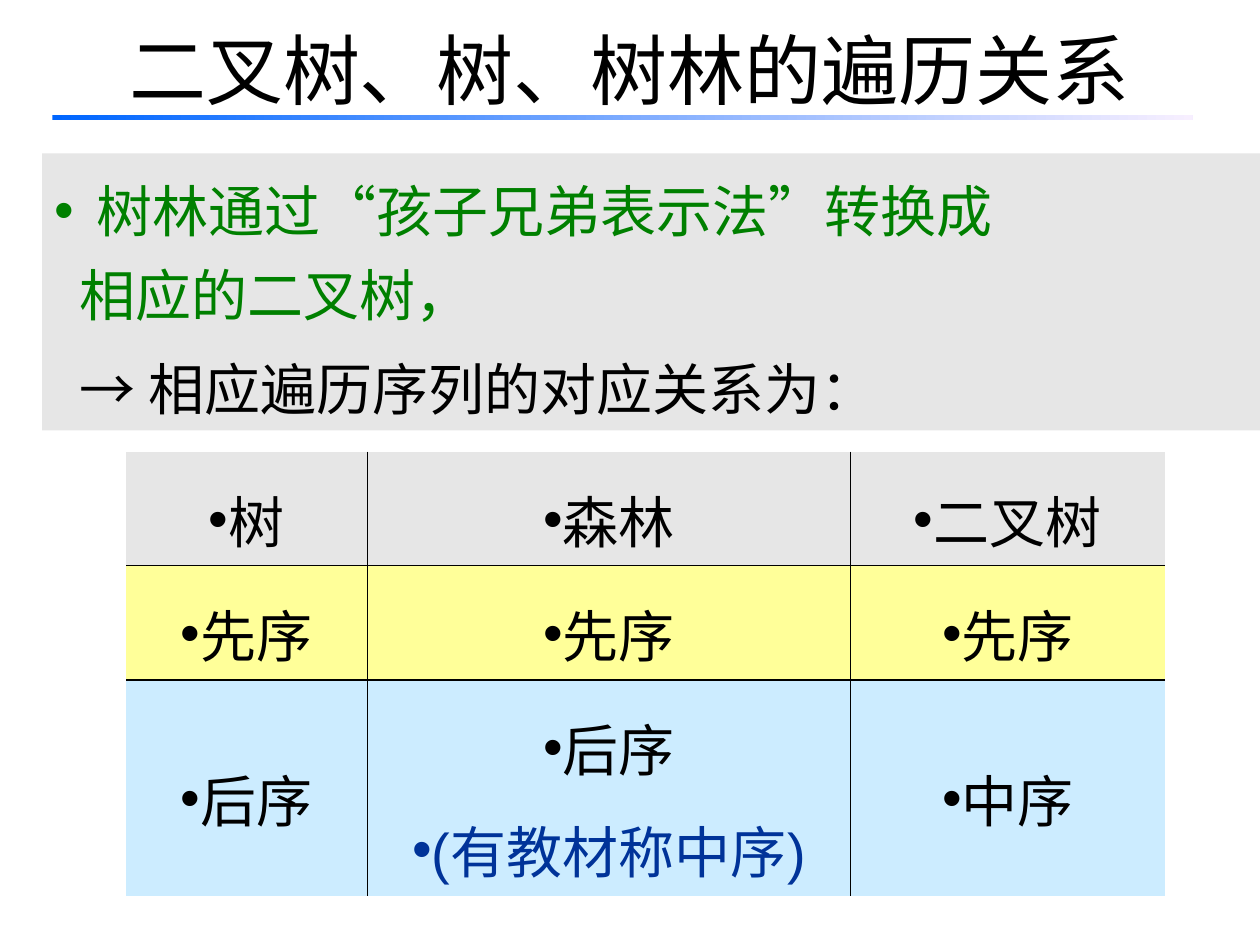
"""Build the slide relating traversals of binary trees, trees and forests."""
from dataclasses import dataclass

from lxml import etree
from pptx import Presentation
from pptx.dml.color import RGBColor
from pptx.enum import shapes, text
from pptx.oxml import ns
from pptx.util import Pt


@dataclass(frozen=True)
class Theme:
    black: str = "000000"
    green: str = "008000"
    blue: str = "003399"
    grey: str = "E6E6E6"
    yellow: str = "FFFF99"
    sky: str = "CCECFF"
    bar_start: str = "0066FF"
    bar_end: str = "F7EFFF"
    title_font: str = "Noto Sans CJK SC"
    body_font: str = "Arial"
    title_size: float = 44
    body_size: float = 32
    line_spacing: float = 1.25
    no_grid_style: str = "{2D5ABB26-0587-4C30-8999-92F81FD0307C}"


@dataclass(frozen=True)
class Line:
    text: str
    color: str
    bullet: bool = True
    margin: float = 0
    indent: float = 0
    before: float = 0


@dataclass(frozen=True)
class Row:
    height: float
    fill: str
    cells: tuple[tuple[Line, ...], ...]


THEME = Theme()
COLUMN_WIDTHS = (138, 276, 180)
BODY_LINES = (
    Line("树林通过“孩子兄弟表示法”转换成", THEME.green, margin=24, indent=-24),
    Line("相应的二叉树，", THEME.green, bullet=False, margin=14.4),
    Line("→ 相应遍历序列的对应关系为：", THEME.black, bullet=False, margin=14.4, before=6),
)


def entry(*words: str) -> tuple[Line, ...]:
    """Return the lines of a table cell, any after the first in blue."""
    return tuple(Line(word, THEME.blue if i else THEME.black) for i, word in enumerate(words))


ROWS = (
    Row(57, THEME.grey, (entry("树"), entry("森林"), entry("二叉树"))),
    Row(63, THEME.yellow, (entry("先序"), entry("先序"), entry("先序"))),
    Row(84, THEME.sky, (entry("后序"), entry("后序", "(有教材称中序)"), entry("中序"))),
)


def place(shape, left: float, top: float, width: float, height: float) -> None:
    """Set the position and size of a shape in points."""
    shape.left, shape.top, shape.width, shape.height = map(Pt, (left, top, width, height))


def write(paragraph, words: str, *, size: float, font: str, color: str,
          align=text.PP_ALIGN.LEFT, spacing: float = 1, before: float = 0) -> None:
    """Write formatted text into a paragraph."""
    paragraph.alignment = align
    paragraph.line_spacing = spacing
    paragraph.space_before = Pt(before)
    run = paragraph.add_run()
    run.text = words
    run.font.size = Pt(size)
    run.font.name = font
    run.font.color.rgb = RGBColor.from_string(color)


def set_bullet(paragraph, line: Line) -> None:
    """Give a paragraph its bullet and indents."""
    properties = paragraph._p.get_or_add_pPr()
    properties.set("marL", str(Pt(line.margin)))
    properties.set("indent", str(Pt(line.indent)))
    if line.bullet:
        etree.SubElement(properties, ns.qn("a:buFont"), typeface=THEME.body_font)
        etree.SubElement(properties, ns.qn("a:buChar"), char="•")
    else:
        etree.SubElement(properties, ns.qn("a:buNone"))


def write_lines(frame, lines: tuple[Line, ...], align) -> None:
    """Fill a text frame with one paragraph per line."""
    for index, line in enumerate(lines):
        paragraph = frame.add_paragraph() if index else frame.paragraphs[0]
        set_bullet(paragraph, line)
        write(paragraph, line.text, size=THEME.body_size, font=THEME.body_font,
              color=line.color, align=align, spacing=THEME.line_spacing, before=line.before)


def add_border(cell, side: str) -> None:
    """Draw a thin black border on one side of a cell."""
    border = etree.SubElement(cell._tc.get_or_add_tcPr(), ns.qn(f"a:ln{side}"), w=str(Pt(1)))
    fill = etree.SubElement(border, ns.qn("a:solidFill"))
    etree.SubElement(fill, ns.qn("a:srgbClr"), val=THEME.black)


def add_title(slide) -> None:
    """Fill the title placeholder."""
    title = slide.shapes.title
    place(title, 36, -6, 648, 90)
    frame = title.text_frame
    frame.auto_size = text.MSO_AUTO_SIZE.NONE
    frame.vertical_anchor = text.MSO_ANCHOR.MIDDLE
    write(frame.paragraphs[0], "二叉树、树、树林的遍历关系", size=THEME.title_size,
          font=THEME.title_font, color=THEME.black, align=text.PP_ALIGN.CENTER)


def add_body(slide) -> None:
    """Fill the body placeholder on its grey panel."""
    body = slide.placeholders[1]
    place(body, 24, 87.6, 696, 158.4)
    body.fill.solid()
    body.fill.fore_color.rgb = RGBColor.from_string(THEME.grey)
    body.text_frame.auto_size = text.MSO_AUTO_SIZE.NONE
    write_lines(body.text_frame, BODY_LINES, text.PP_ALIGN.LEFT)


def add_title_bar(slide) -> None:
    """Draw the fading bar under the title."""
    bar = slide.shapes.add_shape(shapes.MSO_SHAPE.RECTANGLE, Pt(30), Pt(65.6), Pt(651.6), Pt(3))
    bar.shadow.inherit = False
    bar.line.fill.background()
    bar.fill.gradient()
    bar.fill.gradient_angle = 0
    for position, (stop, color) in enumerate(zip(bar.fill.gradient_stops,
                                                 (THEME.bar_start, THEME.bar_end))):
        stop.position = position
        stop.color.rgb = RGBColor.from_string(color)


def add_traversal_table(slide) -> None:
    """Draw the table of matching traversals with inner borders only."""
    frame = slide.shapes.add_table(len(ROWS), len(COLUMN_WIDTHS), Pt(72), Pt(258),
                                   Pt(sum(COLUMN_WIDTHS)), Pt(sum(row.height for row in ROWS)))
    table = frame.table
    table.first_row = table.horz_banding = False
    table._tbl.tblPr.find(ns.qn("a:tableStyleId")).text = THEME.no_grid_style
    for column, width in zip(table.columns, COLUMN_WIDTHS):
        column.width = Pt(width)
    last_row, last_column = len(ROWS) - 1, len(COLUMN_WIDTHS) - 1
    for i, row in enumerate(ROWS):
        table.rows[i].height = Pt(row.height)
        for j, lines in enumerate(row.cells):
            cell = table.cell(i, j)
            cell.vertical_anchor = text.MSO_ANCHOR.MIDDLE
            inner = {"L": j > 0, "R": j < last_column, "T": i > 0, "B": i < last_row}
            for side in filter(inner.get, inner):
                add_border(cell, side)
            cell.fill.solid()
            cell.fill.fore_color.rgb = RGBColor.from_string(row.fill)
            write_lines(cell.text_frame, lines, text.PP_ALIGN.CENTER)


def main() -> None:
    """Build and save the presentation."""
    presentation = Presentation()
    presentation.slide_width, presentation.slide_height = Pt(720), Pt(540)
    slide = presentation.slides.add_slide(presentation.slide_layouts[1])
    add_body(slide)
    add_title_bar(slide)
    add_title(slide)
    add_traversal_table(slide)
    presentation.save("out.pptx")


if __name__ == "__main__":
    main()
